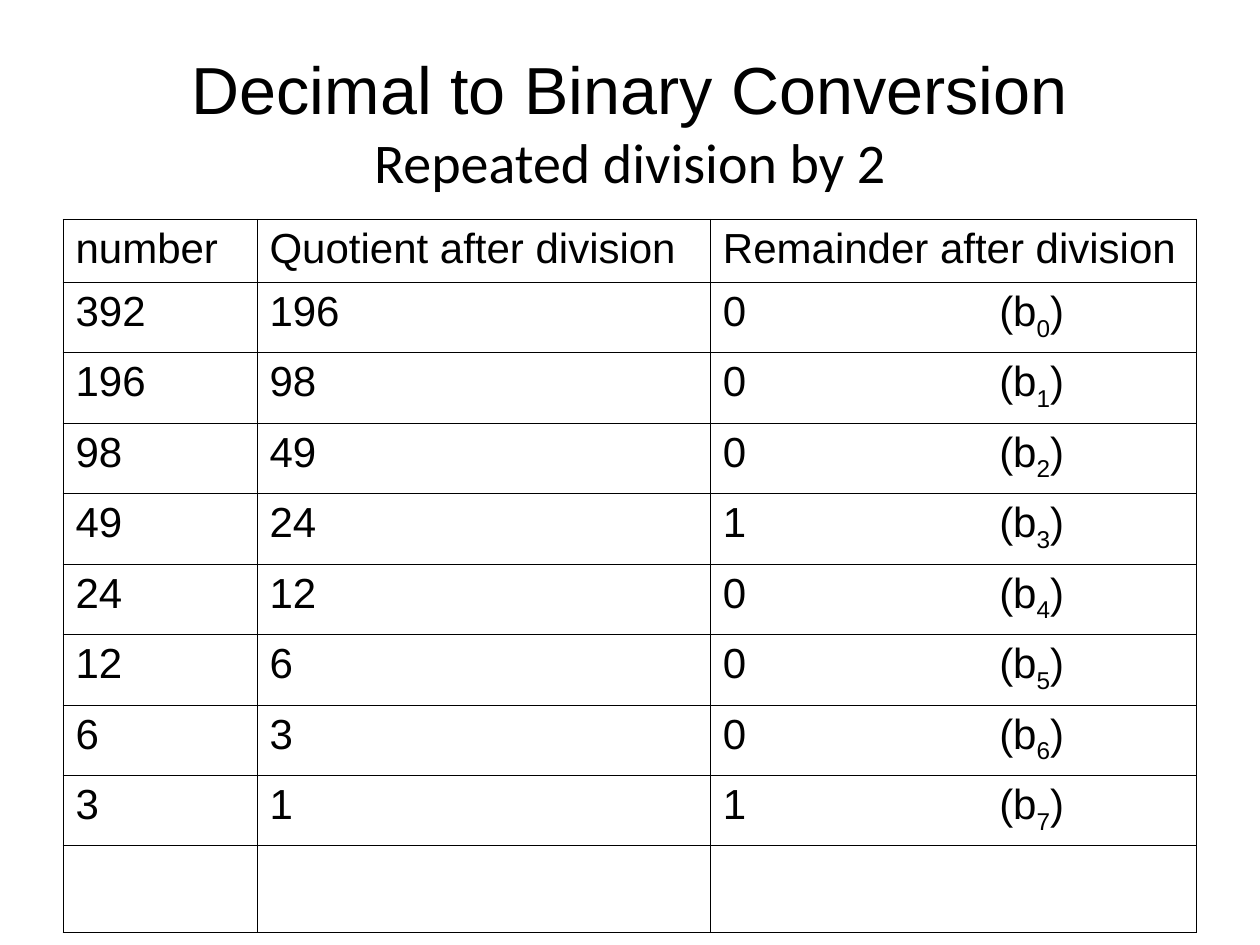
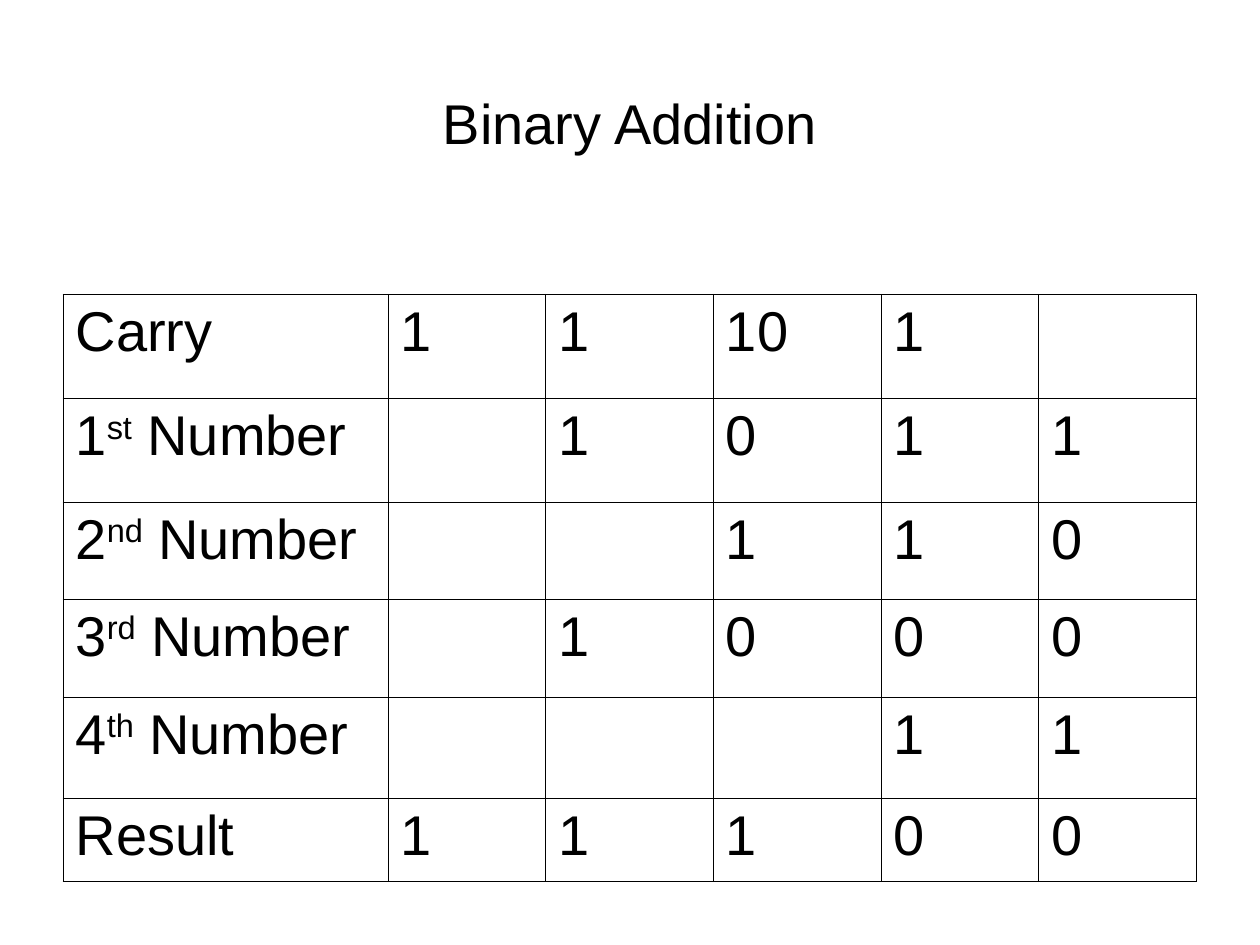
from lxml import etree
from pptx import Presentation
from pptx.dml.color import RGBColor
from pptx.enum.text import MSO_ANCHOR, MSO_AUTO_SIZE, PP_ALIGN
from pptx.oxml.ns import qn
from pptx.util import Cm, Pt

CENTER, JUSTIFY = PP_ALIGN.CENTER, PP_ALIGN.JUSTIFY
MIDDLE, NO_FIT = MSO_ANCHOR.MIDDLE, MSO_AUTO_SIZE.NONE
INK, PAPER = "000000", "FFFFFF"
LEFT, WIDTH = 1.27, 22.86
BIT_TAB = 5.57          # where the bit labels start inside a cell
BORDER_PT = 0.45
SUB, SUPER = -25000, 30000

# Content: a cell is a string or a list of (text, baseline) runs
numbers = [392, 196, 98, 49, 24, 12, 6, 3]
division_rows = [["number", "Quotient after division", "Remainder after division"]]
for bit, n in enumerate(numbers):
    remainder = [(f"{n % 2}\t(b", 0), (str(bit), SUB), (")", 0)]
    division_rows.append([str(n), str(n // 2), remainder])
division_rows.append(["", "", ""])


def ordinal(digit, ending):
    return [(digit, 0), (ending, SUPER), (" Number", 0)]


addition_rows = [
    ["Carry", "1", "1", "10", "1", ""],
    [ordinal("1", "st"), "", "1", "0", "1", "1"],
    [ordinal("2", "nd"), "", "", "1", "1", "0"],
    [ordinal("3", "rd"), "", "1", "0", "0", "0"],
    [ordinal("4", "th"), "", "", "", "1", "1"],
    ["Result", "1", "1", "1", "0", "0"],
]

slides = [
    dict(title=[("Decimal to Binary Conversion", 38, "Arial"),
                ("Repeated division by 2", 32, "Calibri")],
         rows=division_rows, top=4.42, size=24,
         widths=[3.91, 9.14, 9.8],
         heights=[1.27] + [1.42] * len(numbers) + [1.75]),
    dict(title=[("Binary Addition", 32, "Arial")],
         rows=addition_rows, top=5.93, size=32,
         widths=[6.55, 3.18, 3.38, 3.38, 3.18, 3.18],
         heights=[2.11, 2.08, 1.96, 1.98, 2.03, 1.68]),
]


def rgb(value):
    return RGBColor.from_string(value)


def add_run(p, text, size=24, font="Arial", color=INK, baseline=0):
    r = p.add_run()
    r.text = text
    r.font.size, r.font.name = Pt(size), font
    r.font.color.rgb = rgb(color)
    if baseline:
        r.font._element.set("baseline", str(baseline))


def add_tab(p, position):
    tabs = etree.SubElement(p._p.get_or_add_pPr(), qn("a:tabLst"))
    etree.SubElement(tabs, qn("a:tab"), pos=str(Cm(position)), algn="l")


def add_borders(cell):
    tc_pr = cell._tc.get_or_add_tcPr()
    for i, side in enumerate(("lnL", "lnR", "lnT", "lnB")):
        ln = etree.Element(qn(f"a:{side}"), w=str(Pt(BORDER_PT)))
        fill = etree.SubElement(ln, qn("a:solidFill"))
        etree.SubElement(fill, qn("a:srgbClr"), val=INK)
        tc_pr.insert(i, ln)


def set_title(s, lines):
    sp = s.shapes.title
    sp.left, sp.top, sp.width, sp.height = Cm(LEFT), Cm(0.76), Cm(WIDTH), Cm(3.18)
    tf = sp.text_frame
    tf.auto_size, tf.vertical_anchor, tf.word_wrap = NO_FIT, MIDDLE, True
    tf.margin_top = Cm(0.33)
    p = tf.paragraphs[0]
    p.alignment = CENTER
    for i, (text, size, font) in enumerate(lines):
        if i:
            p.add_line_break()
        add_run(p, text, size=size, font=font)


def fill_cell(cell, content, size):
    cell.fill.solid()
    cell.fill.fore_color.rgb = rgb(PAPER)
    add_borders(cell)
    if not content:
        return
    runs = [(content, 0)] if isinstance(content, str) else content
    p = cell.text_frame.paragraphs[0]
    p.alignment = JUSTIFY
    if "\t" in runs[0][0]:
        add_tab(p, BIT_TAB)
    for text, baseline in runs:
        add_run(p, text, size=size, baseline=baseline)


def add_grid(s, rows, top, size, widths, heights):
    table = s.shapes.add_table(len(rows), len(widths), Cm(LEFT), Cm(top),
                               Cm(sum(widths)), Cm(sum(heights))).table
    table.first_row = table.horz_banding = False
    for column, width in zip(table.columns, widths):
        column.width = Cm(width)
    for row, height, contents in zip(table.rows, heights, rows):
        row.height = Cm(height)
        for cell, content in zip(row.cells, contents):
            fill_cell(cell, content, size)


def main():
    prs = Presentation()
    prs.slide_width, prs.slide_height = Cm(25.4), Cm(19.05)
    for slide in slides:
        s = prs.slides.add_slide(prs.slide_layouts[5])
        set_title(s, slide["title"])
        add_grid(s, slide["rows"], slide["top"], slide["size"],
                 slide["widths"], slide["heights"])
    prs.save("out.pptx")


if __name__ == "__main__":
    main()
